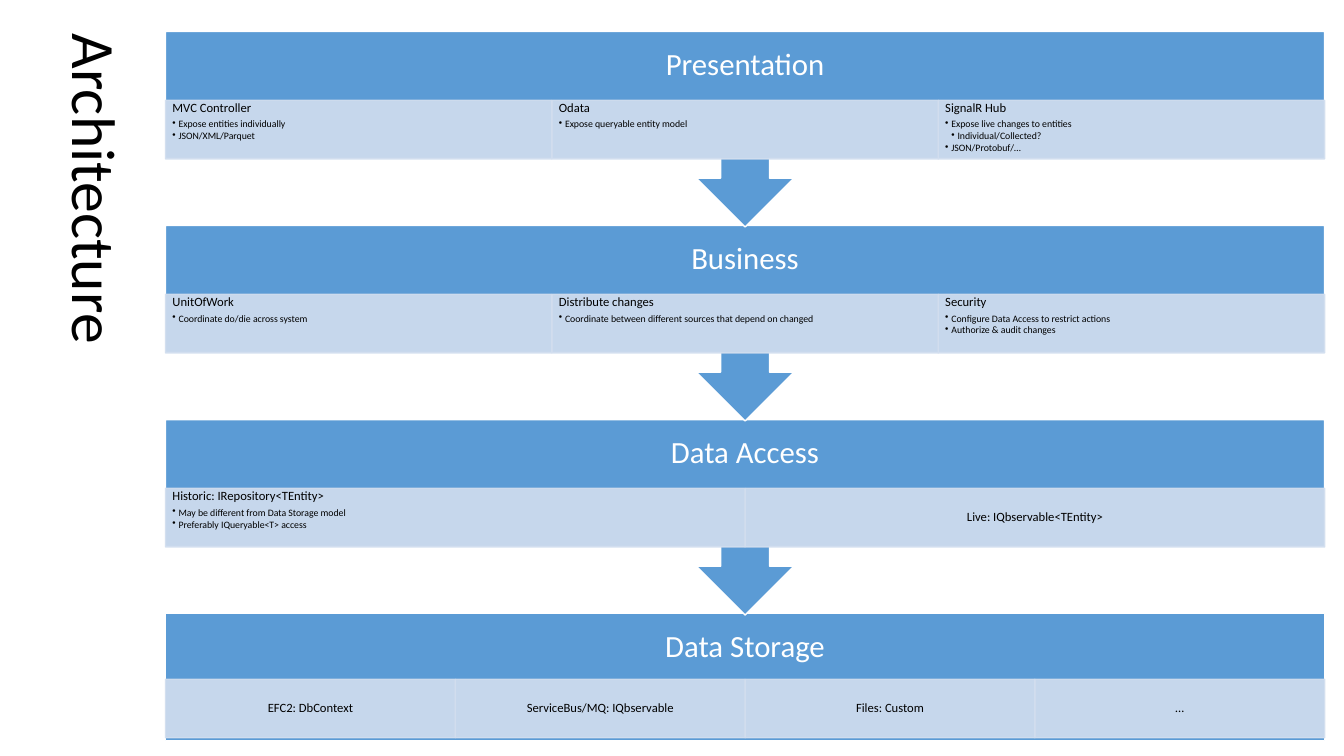
from lxml.etree import SubElement
from pptx import Presentation
from pptx.dml.color import RGBColor
from pptx.enum.shapes import MSO_SHAPE
from pptx.enum.text import MSO_ANCHOR, PP_ALIGN
from pptx.oxml.ns import qn
from pptx.util import Pt

COLORS = {"band": "5B9BD5", "cell": "D2DEEF", "white": "FFFFFF", "black": "000000"}
FONT = "Calibri"

LEFT, TOP, WIDTH, PITCH = 118.2, 22.5, 828, 138.6
CALLOUT_HEIGHT, STORAGE_HEIGHT = 139.6, 90.7
HEADER_HEIGHT, CELL_HEIGHT = 49, 41.8
CELL_OFFSET, STORAGE_CELL_OFFSET = 49.2, 46.9
BULLET_INDENT = 4.4

TITLE_STYLE = {"size": 44, "color": "black", "align": PP_ALIGN.LEFT, "after": 0}
HEADER_STYLE = {"size": 22, "color": "white", "align": PP_ALIGN.CENTER, "after": 0}
CENTRED_STYLE = {"size": 9, "color": "black", "align": PP_ALIGN.CENTER, "after": 0}
HEADING_STYLE = {"size": 9, "color": "black", "align": PP_ALIGN.LEFT, "after": 3.15}
BULLET_STYLE = {"size": 7, "color": "black", "align": PP_ALIGN.LEFT, "after": 1}

# Each layer: name, then cells of a heading and its (level, text) bullets.
LAYERS = [
    ("Presentation", [
        ("MVC Controller", [(1, "Expose entities individually"), (1, "JSON/XML/Parquet")]),
        ("Odata", [(1, "Expose queryable entity model")]),
        ("SignalR Hub", [(1, "Expose live changes to entities"),
                         (2, "Individual/Collected?"),
                         (1, "JSON/Protobuf/…")]),
    ]),
    ("Business", [
        ("UnitOfWork", [(1, "Coordinate do/die across system")]),
        ("Distribute changes",
         [(1, "Coordinate between different sources that depend on changed")]),
        ("Security", [(1, "Configure Data Access to restrict actions"),
                      (1, "Authorize & audit changes")]),
    ]),
    ("Data Access", [
        ("Historic: IRepository<TEntity>", [(1, "May be different from Data Storage model"),
                                            (1, "Preferably IQueryable<T> access")]),
        ("Live: IQbservable<TEntity>", []),
    ]),
    ("Data Storage", [
        ("EFC2: DbContext", []),
        ("ServiceBus/MQ: IQbservable", []),
        ("Files: Custom", []),
        ("…", []),
    ]),
]


def rgb(name):
    return RGBColor.from_string(COLORS[name])


class LayerSlide:
    def __init__(self, presentation):
        self.slide = presentation.slides.add_slide(presentation.slide_layouts[5])

    def add_text(self, paragraph, text, style):
        run = paragraph.add_run()
        run.text = text
        for name, value in {"name": FONT, "size": Pt(style["size"])}.items():
            setattr(run.font, name, value)
        run.font.color.rgb = rgb(style["color"])
        settings = {"alignment": style["align"], "line_spacing": 0.9,
                    "space_before": Pt(0), "space_after": Pt(style["after"])}
        for name, value in settings.items():
            setattr(paragraph, name, value)

    def bullet(self, paragraph, level):
        paragraph.level = level
        properties = paragraph._p.get_or_add_pPr()
        properties.set("marL", str(Pt(BULLET_INDENT * level)))
        properties.set("indent", str(-Pt(BULLET_INDENT)))
        SubElement(properties, qn("a:buChar")).set("char", "•")

    def frame(self, shape, anchor, side, end):
        """Set wrapping, anchor and insets; side and end are insets in points."""
        text_frame = shape.text_frame
        settings = {"word_wrap": True, "vertical_anchor": anchor,
                    "margin_left": Pt(side), "margin_right": Pt(side),
                    "margin_top": Pt(end), "margin_bottom": Pt(end)}
        for name, value in settings.items():
            setattr(text_frame, name, value)
        return text_frame

    def title(self, text):
        title = self.slide.shapes.title
        box = {"left": Pt(-182.9), "top": Pt(213.8), "width": Pt(498.2),
               "height": Pt(104.4), "rotation": 90}
        for name, value in box.items():
            setattr(title, name, value)
        text_frame = self.frame(title, MSO_ANCHOR.MIDDLE, 7.2, 3.6)
        self.add_text(text_frame.paragraphs[0], text, TITLE_STYLE)

    def shape(self, preset, left, top, width, height, fill, line):
        shape = self.slide.shapes.add_shape(preset, Pt(left), Pt(top), Pt(width), Pt(height))
        shape.shadow.inherit = False
        shape.fill.solid()
        shape.fill.fore_color.rgb = rgb(fill)
        shape.line.color.rgb = rgb(line)
        shape.line.width = Pt(1)
        return shape

    def header(self, text, top):
        box = self.slide.shapes.add_textbox(Pt(LEFT), Pt(top), Pt(WIDTH), Pt(HEADER_HEIGHT))
        text_frame = self.frame(box, MSO_ANCHOR.MIDDLE, 12.3, 12.3)
        self.add_text(text_frame.paragraphs[0], text, HEADER_STYLE)

    def cell(self, heading, bullets, left, top, width):
        cell = self.shape(MSO_SHAPE.RECTANGLE, left, top, width, CELL_HEIGHT, "cell", "cell")
        for color in cell._element.spPr.iter(qn("a:srgbClr")):
            SubElement(color, qn("a:alpha")).set("val", "90000")
        anchor = MSO_ANCHOR.TOP if bullets else MSO_ANCHOR.MIDDLE
        text_frame = self.frame(cell, anchor, 5, 0.8)
        self.add_text(text_frame.paragraphs[0], heading,
                      HEADING_STYLE if bullets else CENTRED_STYLE)
        for level, text in bullets:
            paragraph = text_frame.add_paragraph()
            self.add_text(paragraph, text, BULLET_STYLE)
            self.bullet(paragraph, level)

    def layer(self, name, cells, top, is_last):
        if is_last:
            self.shape(MSO_SHAPE.RECTANGLE, LEFT, top, WIDTH, STORAGE_HEIGHT, "band", "white")
        else:
            callout = self.shape(MSO_SHAPE.UP_ARROW_CALLOUT, LEFT, top, WIDTH,
                                 CALLOUT_HEIGHT, "band", "white")
            callout.rotation = 180
        self.header(name, top)
        cell_top = top + (STORAGE_CELL_OFFSET if is_last else CELL_OFFSET)
        cell_width = WIDTH / len(cells)
        for column, (heading, bullets) in enumerate(cells):
            self.cell(heading, bullets, LEFT + column * cell_width, cell_top, cell_width)


def main():
    presentation = Presentation()
    presentation.slide_width, presentation.slide_height = Pt(960), Pt(540)
    slide = LayerSlide(presentation)
    slide.title("Architecture")
    # Bottom layer first, so that each arrow tip lies over the layer below it.
    for index, (name, cells) in reversed(list(enumerate(LAYERS))):
        slide.layer(name, cells, TOP + index * PITCH, index == len(LAYERS) - 1)
    presentation.save("out.pptx")


if __name__ == "__main__":
    main()
